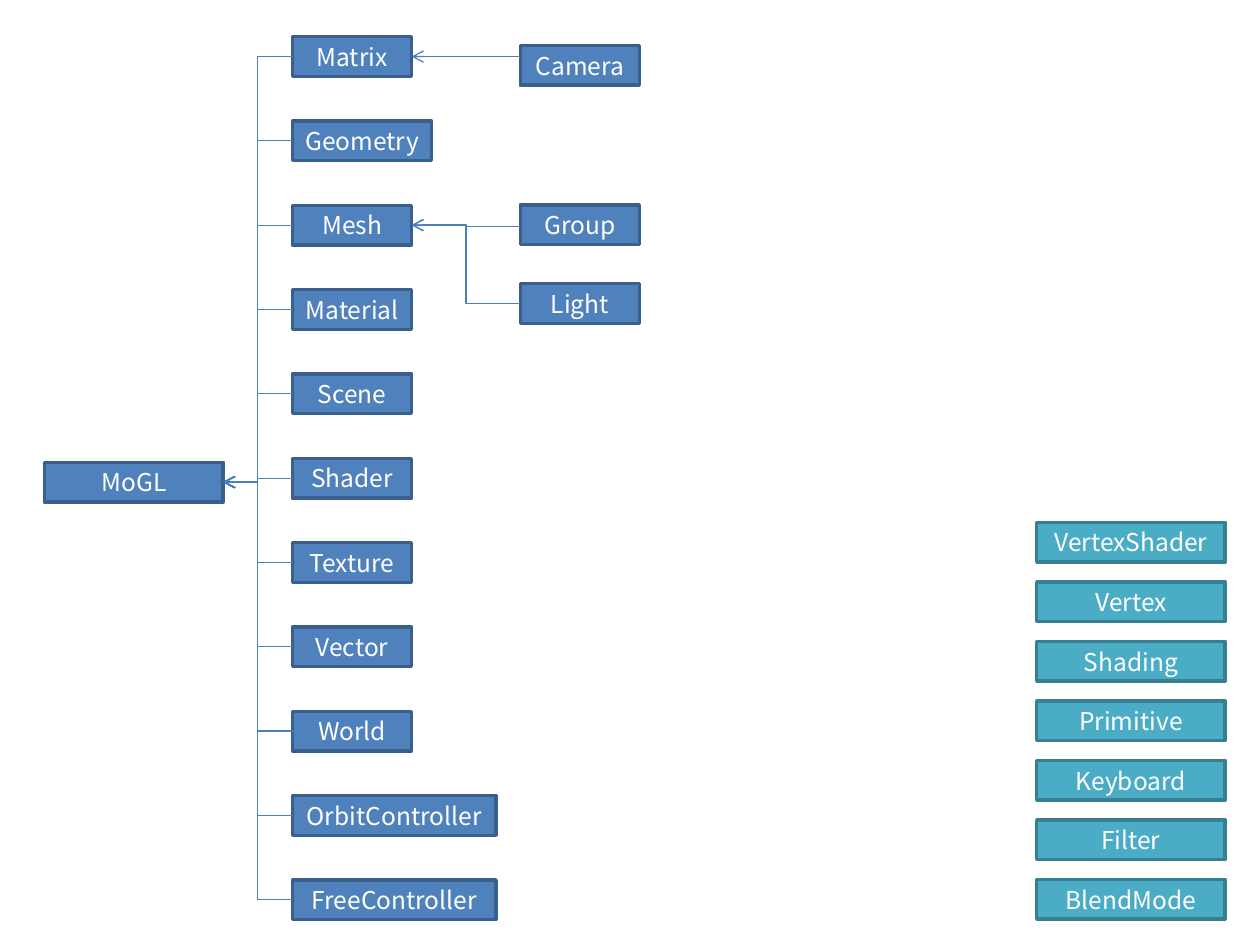
"""Build the MoGL class hierarchy slide."""
from lxml import etree
from pptx import Presentation
from pptx.dml.color import RGBColor
from pptx.enum.shapes import MSO_CONNECTOR, MSO_SHAPE
from pptx.enum.text import MSO_ANCHOR, PP_ALIGN
from pptx.oxml.ns import qn
from pptx.util import Cm, Pt

RECTANGLE = MSO_SHAPE.RECTANGLE
ELBOW, STRAIGHT = MSO_CONNECTOR.ELBOW, MSO_CONNECTOR.STRAIGHT
MIDDLE, CENTER = MSO_ANCHOR.MIDDLE, PP_ALIGN.CENTER
LEFT_SITE, RIGHT_SITE = 1, 3

COLORS = {
    "class": "4F81BD",
    "class_border": "3A5F8C",
    "constant": "4BACC6",
    "constant_border": "377F92",
    "link": "4B7EBC",
    "text": "FFFFFF",
}
BOX_HEIGHT = 0.8
BOX_WIDTH = 2.4
CLASS_LEFT, CLASS_TOP, CLASS_PITCH = 5.9, 0.74, 1.7
SUBCLASS_LEFT = 10.49
CONSTANT_LEFT, CONSTANT_TOP, CONSTANT_PITCH = 20.9, 10.53, 1.2

CLASSES = ["Matrix", "Geometry", "Mesh", "Material", "Scene", "Shader", "Texture",
           "Vector", "World", "OrbitController", "FreeController"]
CLASS_WIDTHS = {"Geometry": 2.8, "OrbitController": 4.1, "FreeController": 4.1}
CONSTANTS = ["VertexShader", "Vertex", "Shading", "Primitive", "Keyboard", "Filter",
             "BlendMode"]


def write_text(shape, text, *, font="Noto Sans CJK KR", size=14, color="text"):
    frame = shape.text_frame
    frame.word_wrap = False
    frame.vertical_anchor = MIDDLE
    paragraph = frame.paragraphs[0]
    paragraph.alignment = CENTER
    run = paragraph.add_run()
    run.text = text
    run.font.name = font
    run.font.size = Pt(size)
    run.font.color.rgb = RGBColor.from_string(COLORS[color])


class Diagram:
    def __init__(self, slide, border_width=2, link_width=0.75):
        self.slide = slide
        self.border_width = Pt(border_width)
        self.link_width = Pt(link_width)

    def box(self, text, left, top, width=BOX_WIDTH, kind="class"):
        shape = self.slide.shapes.add_shape(
            RECTANGLE, Cm(left), Cm(top), Cm(width), Cm(BOX_HEIGHT))
        shape.shadow.inherit = False
        shape.fill.solid()
        shape.fill.fore_color.rgb = RGBColor.from_string(COLORS[kind])
        shape.line.color.rgb = RGBColor.from_string(COLORS[kind + "_border"])
        shape.line.width = self.border_width
        write_text(shape, text)
        return shape

    def link(self, child, parent, kind=ELBOW, start=None):
        child_middle = child.top + child.height // 2 if start is None else Cm(start)
        connector = self.slide.shapes.add_connector(
            kind, child.left, child_middle,
            parent.left + parent.width, parent.top + parent.height // 2)
        if start is None:
            connector.begin_connect(child, LEFT_SITE)
        connector.end_connect(parent, RIGHT_SITE)
        connector.line.color.rgb = RGBColor.from_string(COLORS["link"])
        connector.line.width = self.link_width
        properties = connector._element.spPr
        etree.SubElement(properties.find(qn("a:ln")), qn("a:tailEnd"), type="arrow")
        etree.SubElement(properties, qn("a:effectLst"))


def main():
    presentation = Presentation()
    presentation.slide_width, presentation.slide_height = Cm(25.4), Cm(19.05)
    diagram = Diagram(presentation.slides.add_slide(presentation.slide_layouts[6]))

    root = diagram.box("MoGL", 0.9, 9.32, 3.6)
    classes = {
        name: diagram.box(name, CLASS_LEFT, CLASS_TOP + row * CLASS_PITCH,
                          CLASS_WIDTHS.get(name, BOX_WIDTH))
        for row, name in enumerate(CLASSES)
    }
    camera = diagram.box("Camera", SUBCLASS_LEFT, 0.92)
    group = diagram.box("Group", SUBCLASS_LEFT, 4.13)
    light = diagram.box("Light", SUBCLASS_LEFT, 5.72)
    for row, name in enumerate(CONSTANTS):
        diagram.box(name, CONSTANT_LEFT, CONSTANT_TOP + row * CONSTANT_PITCH, 3.8,
                    kind="constant")

    for shape in classes.values():
        diagram.link(shape, root)
    diagram.link(camera, classes["Matrix"], STRAIGHT, start=CLASS_TOP + BOX_HEIGHT / 2)
    diagram.link(group, classes["Mesh"], start=4.57)
    diagram.link(light, classes["Mesh"])

    presentation.save("out.pptx")


if __name__ == "__main__":
    main()
